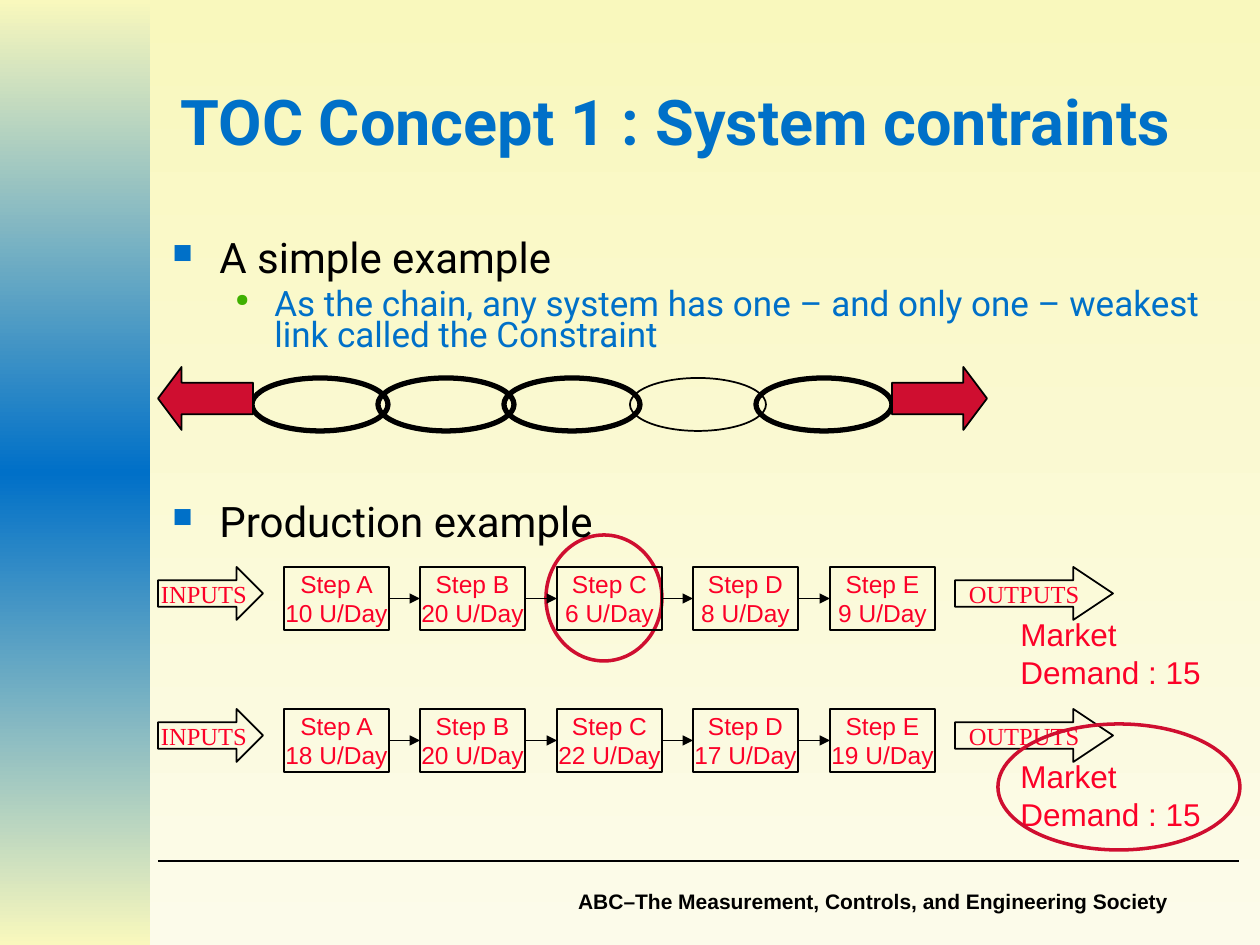
from lxml import etree
from pptx import Presentation
from pptx import util as u
from pptx.dml.color import RGBColor
from pptx.enum import shapes, text
from pptx.oxml.ns import qn

SCALE = 914400 / 126
BLACK, BLUE, RED, TEXT_RED = "000000", "0070C8", "CF0E30", "FC0128"
CREAM, PALE, GREEN = "F9F8BD", "FCFBEA", "3FB000"
MIDDLE, TOP = text.MSO_ANCHOR.MIDDLE, text.MSO_ANCHOR.TOP
LEFT, CENTER, RIGHT = text.PP_ALIGN.LEFT, text.PP_ALIGN.CENTER, text.PP_ALIGN.RIGHT
KIND = shapes.MSO_SHAPE

TITLE = "TOC Concept 1 : System contraints"
FOOTER = "ABC–The Measurement, Controls, and Engineering Society"
BODY = [
    dict(words="A simple example", level=0, before=15),
    dict(words="As the chain, any system has one – and only one – weakest "
               "link called the Constraint", level=1, before=5),
    dict(words="Production example", level=0, before=84),
]
LEVELS = [
    dict(size=24, color=BLACK, spacing=0.9, margin=47, hang=47,
         bullet="■", bullet_color=BLUE, bullet_size=66),
    dict(size=20, color=BLUE, spacing=0.75, margin=102, hang=39,
         bullet="●", bullet_color=GREEN, bullet_size=50),
]
LINK_WEIGHTS = [3, 3, 3, 1, 3]
PULLS = [(KIND.LEFT_ARROW, 158), (KIND.RIGHT_ARROW, 892)]
STEPS = ["Step A", "Step B", "Step C", "Step D", "Step E"]
RATES = [[10, 20, 6, 8, 9], [18, 20, 22, 17, 19]]
FLOWS = [("INPUTS", 158, 105, 0.5), ("OUTPUTS", 955, 158, 0.75)]
DEMAND = ["Market", "Demand : 15"]
ROW_TOP, ROW_PITCH = 567, 142


def px(value):
    return u.Emu(round(value * SCALE))


def rgb(value):
    return RGBColor.from_string(value)


def add_gradient(fill, owner, colors):
    fill.gradient()
    fill.gradient_angle = 270
    stops = owner.xpath(".//a:gsLst")[0]
    for stop in list(stops):
        stops.remove(stop)
    for index, color in enumerate(colors):
        position = str(100000 * index // (len(colors) - 1))
        stop = etree.SubElement(stops, qn("a:gs"), pos=position)
        etree.SubElement(stop, qn("a:srgbClr"), val=color)


def add_shape(kind, box, line=None, weight=1, fill=None, adjustments=()):
    shape = slide.shapes.add_shape(kind, *map(px, box))
    shape.shadow.inherit = False
    if fill:
        shape.fill.solid()
        shape.fill.fore_color.rgb = rgb(fill)
    else:
        shape.fill.background()
    if line:
        shape.line.color.rgb = rgb(line)
        shape.line.width = u.Pt(weight)
    else:
        shape.line.fill.background()
    for index, value in enumerate(adjustments):
        shape.adjustments[index] = value
    return shape


def add_line(start, end, arrow=False):
    line = slide.shapes.add_connector(shapes.MSO_CONNECTOR.STRAIGHT, *map(px, start + end))
    line.line.color.rgb = rgb(BLACK)
    line.line.width = u.Pt(1)
    if arrow:
        etree.SubElement(line.line._get_or_add_ln(), qn("a:tailEnd"), type="triangle")
    etree.SubElement(line._element.spPr, qn("a:effectLst"))
    return line


def write(shape, lines, size, color, font="Arial", bold=False, align=LEFT, anchor=TOP, wrap=False):
    frame = shape.text_frame
    frame.word_wrap = wrap
    frame.vertical_anchor = anchor
    frame.text = "\n".join(lines)
    for paragraph in frame.paragraphs:
        paragraph.alignment = align
        style(paragraph, size, color, font, bold)


def style(paragraph, size, color, font, bold=False):
    paragraph.font.size = u.Pt(size)
    paragraph.font.color.rgb = rgb(color)
    paragraph.font.name = font
    paragraph.font.bold = bold


def add_text(box, *args, **options):
    write(slide.shapes.add_textbox(*map(px, box)), *args, **options)


def add_body(box):
    frame = slide.shapes.add_textbox(*map(px, box)).text_frame
    frame.word_wrap = True
    for index, item in enumerate(BODY):
        paragraph = frame.add_paragraph() if index else frame.paragraphs[0]
        level = LEVELS[item["level"]]
        paragraph.text = item["words"]
        paragraph.level = item["level"]
        paragraph.space_before = u.Pt(item["before"])
        paragraph.line_spacing = level["spacing"]
        style(paragraph, level["size"], level["color"], "Roboto")
        properties = paragraph._p.get_or_add_pPr()
        properties.set("marL", str(px(level["margin"])))
        properties.set("indent", str(-px(level["hang"])))
        bullet = [
            etree.Element(qn("a:buClr")),
            etree.Element(qn("a:buSzPct"), val=str(level["bullet_size"] * 1000)),
            etree.Element(qn("a:buChar"), char=level["bullet"]),
        ]
        etree.SubElement(bullet[0], qn("a:srgbClr"), val=level["bullet_color"])
        position = list(properties).index(properties.find(qn("a:defRPr")))
        for offset, element in enumerate(bullet):
            properties.insert(position + offset, element)


def add_chain():
    for index, weight in enumerate(LINK_WEIGHTS):
        add_shape(KIND.OVAL, (252 + 126 * index, 378, 136, 53), BLACK, weight)
    for kind, left in PULLS:
        add_shape(kind, (left, 367, 95, 63), BLACK, fill=RED, adjustments=(0.5, 0.375))


def add_production(top, rates):
    boxes = []
    for index, (step, rate) in enumerate(zip(STEPS, rates)):
        box = add_shape(KIND.RECTANGLE, (284 + 273 * index // 2, top, 105, 63), BLACK)
        write(box, [step, f"{rate} U/Day"], 14, TEXT_RED, align=CENTER, anchor=MIDDLE)
        boxes.append(box)
    for before, after in zip(boxes, boxes[1:]):
        line = add_line((0, 0), (1, 0), arrow=True)
        line.begin_connect(before, 3)
        line.end_connect(after, 1)
    for words, left, width, head in FLOWS:
        arrow = add_shape(KIND.RIGHT_ARROW, (left, top, width, 53), BLACK, adjustments=(0.5, head))
        write(arrow, [words], 14, TEXT_RED, "Times New Roman", align=CENTER, anchor=MIDDLE)
    add_text((1008, top + 42, 220, 88), DEMAND, 18, TEXT_RED, wrap=True)


presentation = Presentation()
presentation.slide_width, presentation.slide_height = px(1260), px(945)
slide = presentation.slides.add_slide(presentation.slide_layouts[6])
add_gradient(slide.background.fill, slide._element, [CREAM, PALE])

sidebar = add_shape(KIND.RECTANGLE, (0, 0, 150, 945))
add_gradient(sidebar.fill, sidebar._element, [CREAM, BLUE, CREAM])
add_text((462, 882, 719, 38), [FOOTER], 12, BLACK, bold=True, align=RIGHT, wrap=True)
add_line((158, 861), (1239, 861))
add_shape(KIND.OVAL, (546, 535, 116, 126), RED, 2)
add_text((168, 42, 1063, 157), [TITLE], 36, BLUE, "Roboto", bold=True, anchor=MIDDLE, wrap=True)
add_body((160, 231, 1074, 609))
add_chain()
for row, rates in enumerate(RATES):
    add_production(ROW_TOP + ROW_PITCH * row, rates)
add_shape(KIND.OVAL, (998, 724, 242, 126), RED, 2)

presentation.save("out.pptx")
